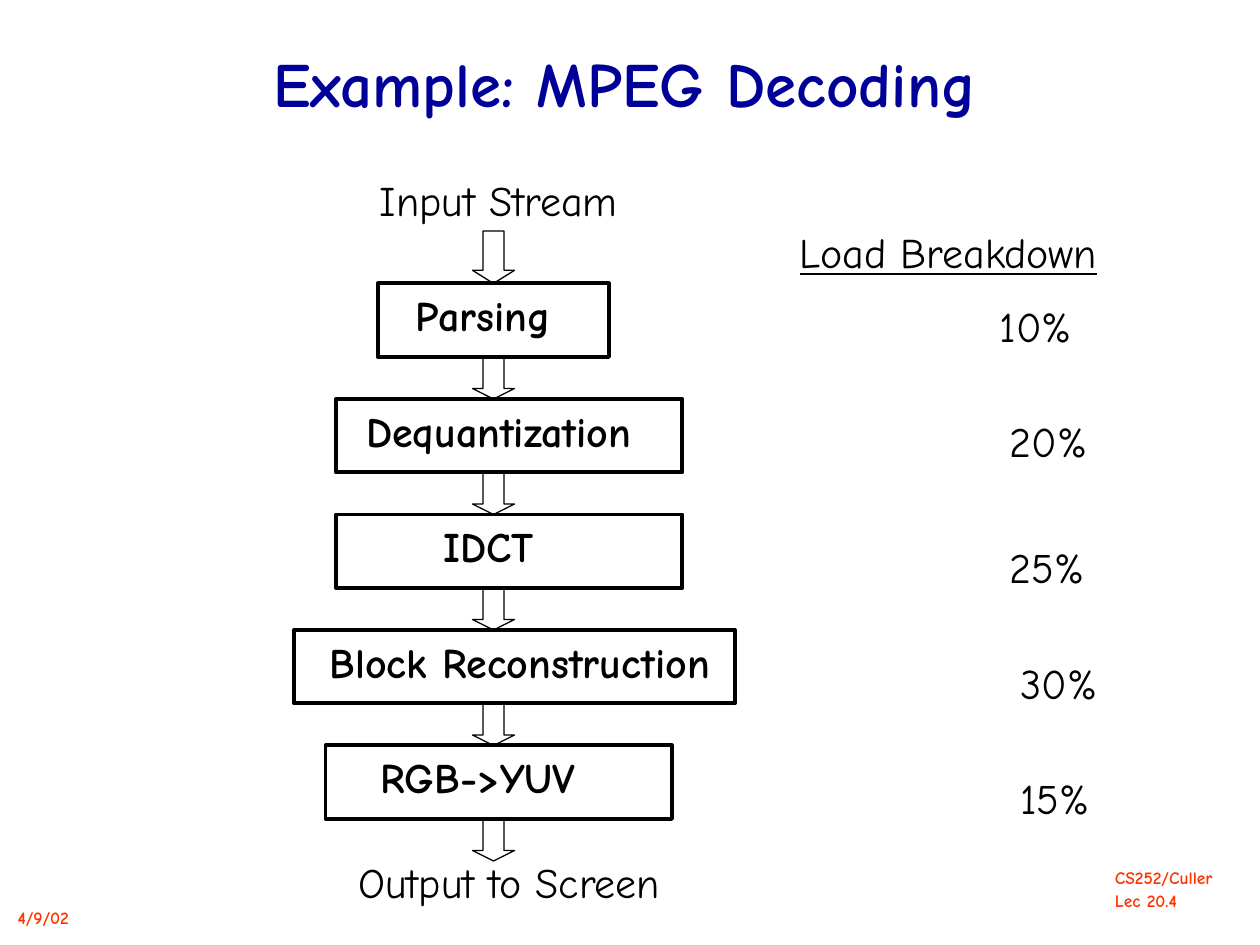
import pptx
import pptx.dml.color
import pptx.enum.shapes
import pptx.enum.text
import pptx.util

NAVY = pptx.dml.color.RGBColor(0x00, 0x00, 0x99)
BLACK = pptx.dml.color.RGBColor(0x00, 0x00, 0x00)
ORANGE = pptx.dml.color.RGBColor(0xFF, 0x33, 0x00)
FONT = "Comic Neue"
COLUMNS_PER_INCH = 12
LEFT = pptx.enum.text.PP_ALIGN.LEFT
CENTER = pptx.enum.text.PP_ALIGN.CENTER
RECTANGLE = pptx.enum.shapes.MSO_SHAPE.RECTANGLE
DOWN_ARROW = pptx.enum.shapes.MSO_SHAPE.DOWN_ARROW

STEP_ROWS = 11
BOX_ROWS = 7
TEXT_ROWS = 6
ARROW_COLUMNS = 4

STAGES = [
    ("Parsing", 9, 22, 6, 26),
    ("Dequantization", 5, 33, 1, 39),
    ("IDCT", 5, 33, 0, 39),
    ("Block Reconstruction", 1, 42, -2, 49),
    ("RGB->YUV", 4, 33, -1, 39),
]
LOADS = [
    ("10%", 19, 7),
    ("20%", 20, 18),
    ("25%", 20, 30),
    ("30%", 21, 41),
    ("15%", 21, 52),
]


def grid(*cells):
    return [pptx.util.Inches(cell / COLUMNS_PER_INCH) for cell in cells]


def style_paragraph(para, size, color, bold=False, align=LEFT):
    para.alignment = align
    para.font.name = FONT
    para.font.size = pptx.util.Pt(size)
    para.font.bold = bold
    para.font.color.rgb = color


def add_label(page, box, lines, size=24, color=BLACK, bold=False, align=LEFT):
    label = page.shapes.add_textbox(*grid(*box))
    frame = label.text_frame
    frame.word_wrap = True
    frame.text = lines
    for para in frame.paragraphs:
        style_paragraph(para, size, color, bold, align)
    return label


def add_outline(page, kind, box, width):
    outline = page.shapes.add_shape(kind, *grid(*box))
    outline.shadow.inherit = False
    outline.fill.background()
    outline.line.color.rgb = BLACK
    outline.line.width = pptx.util.Pt(width)
    return outline


def add_arrow(page, left, top, rows):
    arrow = add_outline(page, DOWN_ARROW, (left, top, ARROW_COLUMNS, rows), 0.75)
    arrow.adjustments[0] = 0.5
    arrow.adjustments[1] = rows / ARROW_COLUMNS / 4


def fill_title(page, box):
    title = page.shapes.title
    title.left, title.top, title.width, title.height = grid(*box)
    frame = title.text_frame
    frame.text = "Example: MPEG Decoding"
    frame.word_wrap = True
    frame.auto_size = pptx.enum.text.MSO_AUTO_SIZE.NONE
    frame.vertical_anchor = pptx.enum.text.MSO_ANCHOR.BOTTOM
    style_paragraph(frame.paragraphs[0], 36, NAVY, True, CENTER)


def add_pipeline(page, left, top):
    arrow_left = left + 18
    first_row = top + STEP_ROWS
    add_label(page, (left + 2, top, 37, TEXT_ROWS), "Input Stream", align=CENTER)
    add_arrow(page, arrow_left, top + TEXT_ROWS, STEP_ROWS - TEXT_ROWS)
    for index, (name, box_left, box_width, text_left, text_width) in enumerate(STAGES):
        row = first_row + index * STEP_ROWS
        add_outline(page, RECTANGLE, (left + box_left, row, box_width, BOX_ROWS), 2.25)
        add_label(page, (left + text_left, row, text_width, TEXT_ROWS), name,
                  bold=True, align=CENTER)
        add_arrow(page, arrow_left, row + BOX_ROWS, STEP_ROWS - BOX_ROWS)
    output_row = first_row + len(STAGES) * STEP_ROWS - 1
    add_label(page, (left + 3, output_row, 37, TEXT_ROWS), "Output to Screen",
              align=CENTER)


def add_load_breakdown(page, left, top):
    heading = add_label(page, (left, top, 40, TEXT_ROWS), "Load Breakdown")
    heading.text_frame.paragraphs[0].font.underline = True
    for load, column, row in LOADS:
        add_label(page, (left + column, top + row, 18, TEXT_ROWS), load)


def add_footer(page, left, top):
    course = add_label(page, (left + 104.5, top, 15, 5.25), "CS252/Culler\nLec 20.4",
                       size=10, color=ORANGE, bold=True)
    lecture = course.text_frame.paragraphs[1]
    lecture.line_spacing = 0.5
    lecture.space_before = pptx.util.Pt(6.2)
    add_label(page, (left, top + 3.8, 9, 3.2), "4/9/02",
              size=10, color=ORANGE, bold=True)


def main():
    deck = pptx.Presentation()
    deck.slide_width = pptx.util.Inches(10)
    deck.slide_height = pptx.util.Inches(7.5)
    page = deck.slides.add_slide(deck.slide_layouts[5])
    add_footer(page, 0.5, 82)
    fill_title(page, (8, 3, 103, 9))
    add_pipeline(page, 27, 16)
    add_load_breakdown(page, 75, 21)
    deck.save("out.pptx")


if __name__ == "__main__":
    main()
